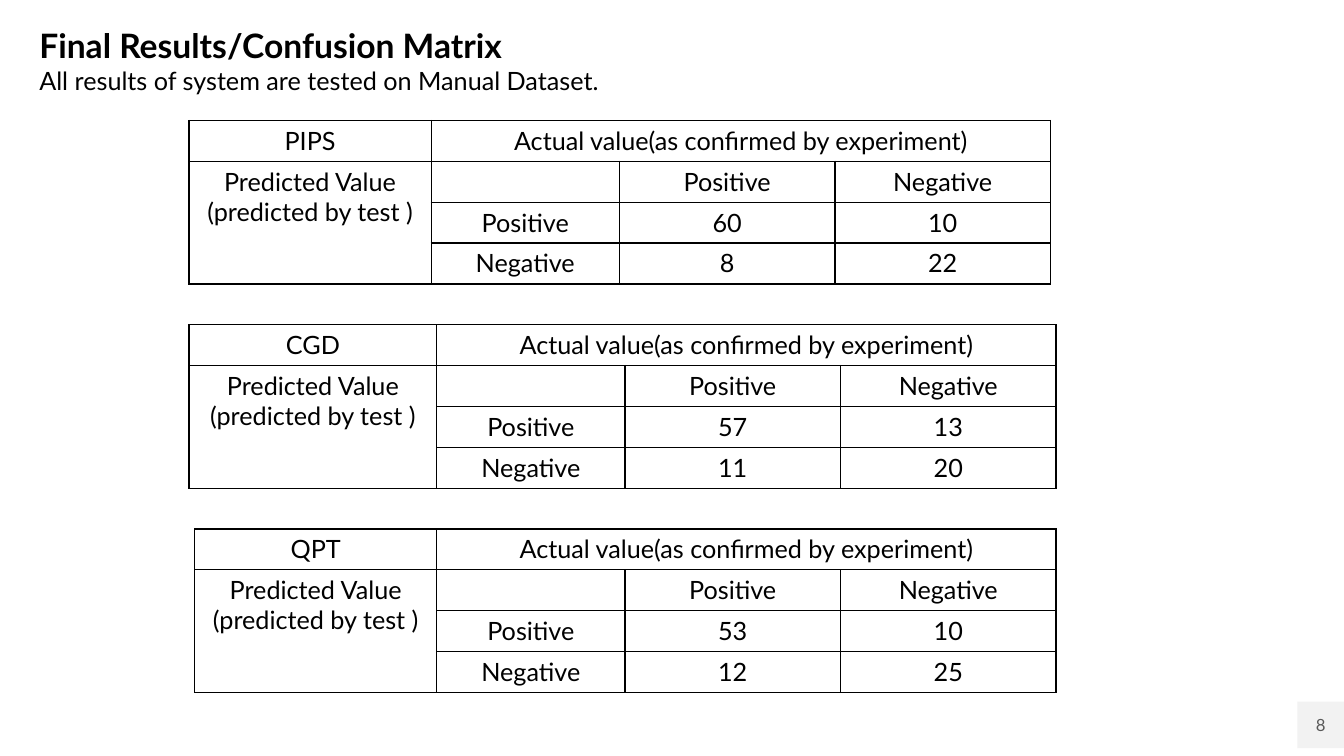
"""Build the confusion matrix results slide."""
import pptx
import pptx.util
import pptx.oxml
import pptx.dml.color
import pptx.enum.shapes
import pptx.enum.text
from pptx.util import Pt

COLORS = {"ink": "000000", "badge": "F2F2F2", "badge_text": "595959"}
FONT = "Lato"
ROW_HEIGHT = 29.2
VALUE_WIDTHS = [134.4, 154, 154]
DRAWING_NS = "http://schemas.openxmlformats.org/drawingml/2006/main"
CENTER = pptx.enum.text.PP_ALIGN.CENTER
LEFT = pptx.enum.text.PP_ALIGN.LEFT

MATRICES = [
    {"name": "PIPS", "left": 135, "top": 86, "label_width": 173,
     "positive": ["60", "10"], "negative": ["8", "22"]},
    {"name": "CGD", "left": 135, "top": 231.9, "label_width": 177,
     "positive": ["57", "13"], "negative": ["11", "20"]},
    {"name": "QPT", "left": 139, "top": 377.8, "label_width": 173,
     "positive": ["53", "10"], "negative": ["12", "25"]},
]


def rgb(name):
    """Return the named colour."""
    return pptx.dml.color.RGBColor.from_string(COLORS[name])


def set_format(target, values):
    """Set each attribute in values on the target."""
    for name, value in values.items():
        setattr(target, name, value)


def write_text(frame, lines, align, color="ink"):
    """Write (text, size, bold) lines as paragraphs."""
    for index, (text, size, bold) in enumerate(lines):
        para = frame.add_paragraph() if index else frame.paragraphs[0]
        para.alignment = align
        span = para.add_run()
        span.text = text
        set_format(span.font, {"name": FONT, "size": Pt(size), "bold": bold})
        span.font.color.rgb = rgb(color)


def add_heading(page):
    """Add the title and the line below it."""
    box = page.shapes.add_textbox(Pt(21), Pt(14.4), Pt(493), Pt(58.2))
    set_format(box.text_frame, {
        "word_wrap": True,
        "auto_size": pptx.enum.text.MSO_AUTO_SIZE.SHAPE_TO_FIT_TEXT,
    })
    write_text(box.text_frame, [
        ("Final Results/Confusion Matrix", 24, True),
        ("All results of system are tested on Manual Dataset.", 18, False),
    ], LEFT)


def add_page_number(page, number):
    """Add the page number badge in the bottom right corner."""
    badge = page.shapes.add_shape(
        pptx.enum.shapes.MSO_SHAPE.RECTANGLE,
        Pt(926.8), Pt(501.2), Pt(33.2), Pt(33.2))
    badge.shadow.inherit = False
    badge.fill.solid()
    badge.fill.fore_color.rgb = rgb("badge")
    badge.line.fill.background()
    set_format(badge.text_frame, {
        "margin_left": 0, "margin_right": 0,
        "margin_top": 0, "margin_bottom": 0,
        "vertical_anchor": pptx.enum.text.MSO_ANCHOR.MIDDLE,
    })
    write_text(badge.text_frame, [(number, 12, False)], CENTER, "badge_text")


def add_borders(cell):
    """Draw a thin line on all four sides of a cell."""
    properties = cell._tc.get_or_add_tcPr()
    for side in ("lnL", "lnR", "lnT", "lnB"):
        properties.append(pptx.oxml.parse_xml(
            f'<a:{side} xmlns:a="{DRAWING_NS}" w="{Pt(1)}"><a:solidFill>'
            f'<a:srgbClr val="{COLORS["ink"]}"/></a:solidFill></a:{side}>'))


def add_matrix(page, matrix):
    """Add one confusion matrix table."""
    rows = [
        [matrix["name"], "Actual value(as confirmed by experiment)", "", ""],
        ["Predicted Value\n(predicted by test )", "", "Positive", "Negative"],
        ["", "Positive", *matrix["positive"]],
        ["", "Negative", *matrix["negative"]],
    ]
    widths = [matrix["label_width"], *VALUE_WIDTHS]
    table = page.shapes.add_table(
        len(rows), len(widths), Pt(matrix["left"]), Pt(matrix["top"]),
        Pt(sum(widths)), Pt(ROW_HEIGHT * len(rows))).table
    set_format(table, {"first_row": False, "horz_banding": False})
    for column, width in zip(table.columns, widths):
        column.width = Pt(width)
    for row_index, texts in enumerate(rows):
        table.rows[row_index].height = Pt(ROW_HEIGHT)
        for column_index, text in enumerate(texts):
            cell = table.cell(row_index, column_index)
            add_borders(cell)
            cell.fill.background()
            if text:
                lines = [(line, 18, False) for line in text.split("\n")]
                write_text(cell.text_frame, lines, CENTER)
    table.cell(0, 1).merge(table.cell(0, 3))
    table.cell(1, 0).merge(table.cell(3, 0))


def main():
    """Build and save the deck."""
    deck = pptx.Presentation()
    set_format(deck, {"slide_width": Pt(960), "slide_height": Pt(540)})
    page = deck.slides.add_slide(deck.slide_layouts[6])
    add_page_number(page, "8")
    for matrix in MATRICES:
        add_matrix(page, matrix)
    add_heading(page)
    deck.save("out.pptx")


if __name__ == "__main__":
    main()
